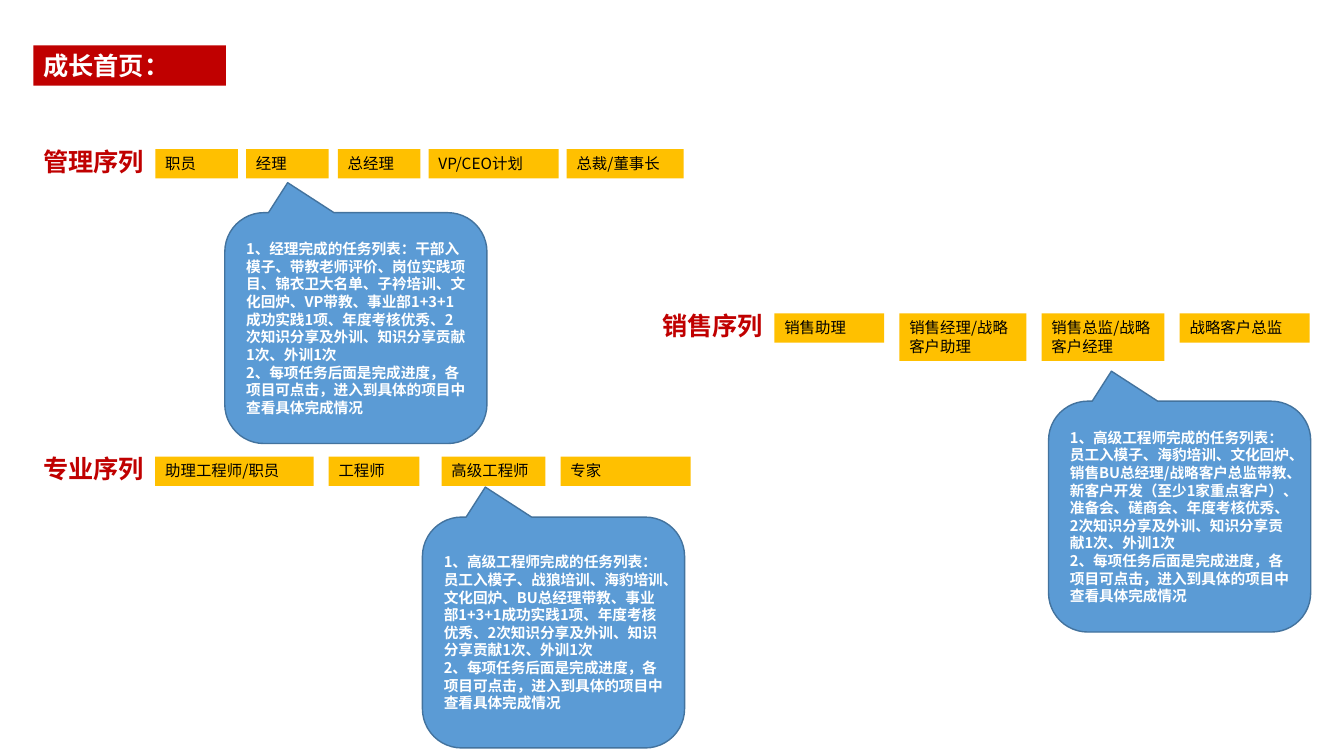
from dataclasses import dataclass

from lxml.etree import SubElement
from pptx import Presentation
from pptx.dml.color import RGBColor
from pptx.enum.shapes import MSO_SHAPE
from pptx.enum.text import MSO_ANCHOR, MSO_AUTO_SIZE, PP_ALIGN
from pptx.oxml.ns import qn
from pptx.util import Inches, Pt


@dataclass(frozen=True)
class Theme:
    red: RGBColor = RGBColor(0xC0, 0x00, 0x00)
    gold: RGBColor = RGBColor(0xFF, 0xC0, 0x00)
    blue: RGBColor = RGBColor(0x5B, 0x9B, 0xD5)
    outline: RGBColor = RGBColor(0x43, 0x73, 0x9E)
    white: RGBColor = RGBColor(0xFF, 0xFF, 0xFF)
    black: RGBColor = RGBColor(0x00, 0x00, 0x00)
    heading_font: str = "Noto Sans CJK SC"
    body_font: str = "Noto Sans CJK JP"
    heading_size: float = 18
    step_size: float = 11
    task_size: float = 10.5


THEME = Theme()
HEADING = {"name": THEME.heading_font, "size": Pt(THEME.heading_size), "bold": True}
STEP = {"name": THEME.body_font, "size": Pt(THEME.step_size), "bold": False}
TASK = {"name": THEME.heading_font, "size": Pt(THEME.task_size), "bold": True}

PROGRESS_NOTE = "2、每项任务后面是完成进度，各项目可点击，进入到具体的项目中查看具体完成情况"

# Each track: label position, steps (left, width, height, text), callout position and tasks
TRACKS = [
    {
        "name": "管理序列", "at": (0.33, 1.4),
        "steps": [
            (1.54, 0.82, 0.29, "职员"),
            (2.44, 0.82, 0.29, "经理"),
            (3.35, 0.82, 0.29, "总经理"),
            (4.25, 1.29, 0.29, "VP/CEO计划"),
            (5.62, 1.16, 0.29, "总裁/董事长"),
        ],
        "callout_at": (2.23, 2.11),
        "tasks": "1、经理完成的任务列表：干部入模子、带教老师评价、岗位实践项目、锦衣卫大名单、"
                 "子衿培训、文化回炉、VP带教、事业部1+3+1成功实践1项、年度考核优秀、"
                 "2次知识分享及外训、知识分享贡献1次、外训1次",
    },
    {
        "name": "专业序列", "at": (0.33, 4.45),
        "steps": [
            (1.54, 1.57, 0.29, "助理工程师/职员"),
            (3.26, 0.9, 0.29, "工程师"),
            (4.38, 1.03, 0.29, "高级工程师"),
            (5.56, 1.29, 0.29, "专家"),
        ],
        "callout_at": (4.19, 5.13),
        "tasks": "1、高级工程师完成的任务列表：员工入模子、战狼培训、海豹培训、文化回炉、"
                 "BU总经理带教、事业部1+3+1成功实践1项、年度考核优秀、"
                 "2次知识分享及外训、知识分享贡献1次、外训1次",
    },
    {
        "name": "销售序列", "at": (6.47, 3.03),
        "steps": [
            (7.68, 1.09, 0.29, "销售助理"),
            (8.92, 1.26, 0.47, "销售经理/战略客户助理"),
            (10.33, 1.22, 0.47, "销售总监/战略客户经理"),
            (11.7, 1.29, 0.29, "战略客户总监"),
        ],
        "callout_at": (10.4, 3.98),
        "tasks": "1、高级工程师完成的任务列表：员工入模子、海豹培训、文化回炉、"
                 "销售BU总经理/战略客户总监带教、新客户开发（至少1家重点客户）、准备会、磋商会、"
                 "年度考核优秀、2次知识分享及外训、知识分享贡献1次、外训1次",
    },
]


def write(box, paragraphs, style, color, anchor=MSO_ANCHOR.TOP, grow=True):
    """Fill a box with left-aligned paragraphs in one style."""
    frame = box.text_frame
    frame.text = "\n".join(paragraphs)
    frame.word_wrap = True
    frame.vertical_anchor = anchor
    frame.auto_size = MSO_AUTO_SIZE.SHAPE_TO_FIT_TEXT if grow else MSO_AUTO_SIZE.NONE
    for paragraph in frame.paragraphs:
        paragraph.alignment = PP_ALIGN.LEFT
        for run in paragraph.runs:
            for attribute, value in style.items():
                setattr(run.font, attribute, value)
            run.font.color.rgb = color
            # East Asian typeface
            properties = run._r.get_or_add_rPr()
            SubElement(properties, qn("a:ea"), typeface=style["name"])


def add_heading(slide, text):
    title = slide.shapes.title
    title.left, title.top, title.width, title.height = map(Inches, (0.33, 0.45, 1.91, 0.4))
    title.fill.solid()
    title.fill.fore_color.rgb = THEME.red
    write(title, [text], HEADING, THEME.white, grow=False)


def add_track_label(slide, left, top, text):
    label = slide.shapes.add_textbox(*map(Inches, (left, top, 1.29, 0.4)))
    write(label, [text], HEADING, THEME.red)


def add_filled(shapes, preset, bounds, color):
    shape = shapes.add_shape(preset, *map(Inches, bounds))
    shape.shadow.inherit = False
    shape.fill.solid()
    shape.fill.fore_color.rgb = color
    return shape


def add_steps(slide, top, steps):
    group = slide.shapes.add_group_shape()
    for left, width, height, text in steps:
        step = add_filled(group.shapes, MSO_SHAPE.RECTANGLE, (left, top, width, height), THEME.gold)
        step.line.fill.background()
        write(step, [text], STEP, THEME.black)


def add_task_callout(slide, left, top, tasks):
    callout = add_filled(slide.shapes, MSO_SHAPE.ROUNDED_RECTANGULAR_CALLOUT,
                         (left, top, 2.6, 2.29), THEME.blue)
    for index, value in enumerate((-0.26, -0.63, 0.17)):
        callout.adjustments[index] = value
    callout.line.color.rgb = THEME.outline
    callout.line.width = Pt(1)
    write(callout, [tasks, PROGRESS_NOTE], TASK, THEME.white, MSO_ANCHOR.MIDDLE, grow=False)


def main():
    presentation = Presentation()
    presentation.slide_width, presentation.slide_height = Inches(13.33), Inches(7.5)
    title_only = presentation.slide_layouts[5]
    slide = presentation.slides.add_slide(title_only)

    add_heading(slide, "成长首页：")
    for track in TRACKS:
        left, top = track["at"]
        add_steps(slide, top + 0.08, track["steps"])
        add_track_label(slide, left, top, track["name"])
        add_task_callout(slide, *track["callout_at"], track["tasks"])

    presentation.save("out.pptx")


if __name__ == "__main__":
    main()
